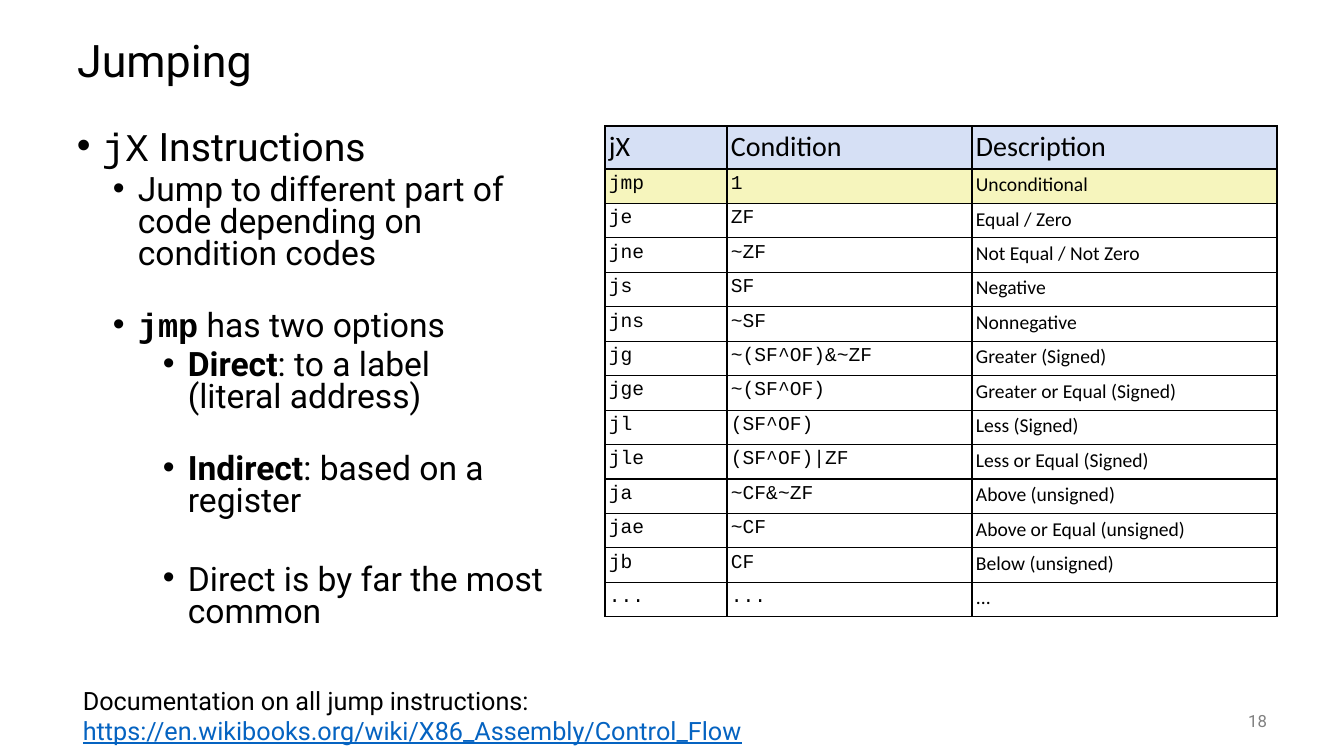
from pptx import Presentation
from pptx.dml.color import RGBColor
from pptx.enum.text import MSO_ANCHOR as Anchor, MSO_AUTO_SIZE as Fit, PP_ALIGN as Align
from pptx.util import Pt
from lxml.etree import SubElement as Sub
from pptx.oxml.ns import qn

SCALE = 12192000 / 1344
SANS, MONO, CELL = "Roboto", "Courier New", "Calibri"
BLACK = "000000"


def px(n):
    return round(n * SCALE)


def write(par, text, size, name=SANS, color=BLACK, **more):
    font = {"size": Pt(size), "name": name, **more}
    for i, line in enumerate(text.split("\n")):
        if i:
            par.add_line_break()
        run = par.add_run()
        run.text = line
        for key, val in font.items():
            setattr(run.font, key, val)
        run.font.color.rgb = RGBColor.from_string(color)


deck = Presentation()
deck.slide_width, deck.slide_height = px(1344), px(756)
slide = deck.slides.add_slide(deck.slide_layouts[5])
shapes = slide.shapes

# Title
title = shapes.title
place = {"left": 67, "top": 25, "width": 1210, "height": 76}
for key, val in place.items():
    setattr(title, key, px(val))
frame = title.text_frame
frame.auto_size, frame.vertical_anchor = Fit.NONE, Anchor.MIDDLE
par = frame.paragraphs[0]
par.alignment, par.line_spacing = Align.LEFT, 0.9
props = par._p.get_or_add_pPr()
props.set("marL", str(px(13)))
props.set("indent", str(px(-13)))
write(par, "Jumping", 32)

# Bullets: level, space before, runs of (text, format)
bold = {"bold": True}
points = [
    (0, 0, [("jX", {"name": MONO}), (" Instructions", {})]),
    (1, 5, [("Jump to different part of code depending on condition codes", {})]),
    (1, 28, [("jmp", {"name": MONO, **bold}), (" has two options", {})]),
    (2, 5, [("Direct", bold), (": to a label\n(literal address)", {})]),
    (2, 28, [("Indirect", bold), (": based on a register", {})]),
    (2, 33, [("Direct is by far the most common", {})]),
]
frame = shapes.add_textbox(px(67), px(126), px(509), px(554)).text_frame
frame.word_wrap = True
for i, (level, gap, runs) in enumerate(points):
    par = frame.add_paragraph() if i else frame.paragraphs[0]
    props = par._p.get_or_add_pPr()
    props.set("marL", str(px((25, 61, 111)[level])))
    props.set("indent", str(px(-25)))
    Sub(props, qn("a:buFont"), typeface="Arial")
    Sub(props, qn("a:buChar"), char="•")
    par.level, par.line_spacing, par.space_before = level, 0.8, Pt(gap)
    for text, form in runs:
        write(par, text, 24 if level else 28, **form)

# Table of jump conditions
rows = [
    ("jX", "Condition", "Description"),
    ("jmp", "1", "Unconditional"),
    ("je", "ZF", "Equal / Zero"),
    ("jne", "~ZF", "Not Equal / Not Zero"),
    ("js", "SF", "Negative"),
    ("jns", "~SF", "Nonnegative"),
    ("jg", "~(SF^OF)&~ZF", "Greater (Signed)"),
    ("jge", "~(SF^OF)", "Greater or Equal (Signed)"),
    ("jl", "(SF^OF)", "Less (Signed)"),
    ("jle", "(SF^OF)|ZF", "Less or Equal (Signed)"),
    ("ja", "~CF&~ZF", "Above (unsigned)"),
    ("jae", "~CF", "Above or Equal (unsigned)"),
    ("jb", "CF", "Below (unsigned)"),
    ("...", "...", "..."),
]
fills = {0: "D6E0F5", 1: "F6F5BD"}
table = shapes.add_table(len(rows), 3, px(605), px(126), px(672), px(491)).table
table.first_row = table.horz_banding = False
for col, wide in zip(table.columns, (122, 245, 305)):
    col.width = px(wide)
for r, row in enumerate(rows):
    table.rows[r].height = px(448) // (len(rows) - 1) if r else px(43)
    for c, text in enumerate(row):
        cell = table.cell(r, c)
        for side in ("left", "right", "top", "bottom"):
            setattr(cell, f"margin_{side}", px(4))
        props = cell._tc.get_or_add_tcPr()
        for edge in "LRTB":
            line = Sub(props, qn(f"a:ln{edge}"), w=str(Pt(1)))
            Sub(Sub(line, qn("a:solidFill")), qn("a:srgbClr"), val=BLACK)
        if r in fills:
            cell.fill.solid()
            cell.fill.fore_color.rgb = RGBColor.from_string(fills[r])
        else:
            cell.fill.background()
        name = MONO if r and c < 2 else CELL
        write(cell.text_frame.paragraphs[0], text, 14 if r else 20, name)

# Slide number
frame = shapes.add_textbox(px(1176), px(701), px(101), px(40)).text_frame
frame.word_wrap, frame.vertical_anchor = True, Anchor.MIDDLE
par = frame.paragraphs[0]
par.alignment = Align.RIGHT
write(par, "18", 12, color="808080")

# Documentation link
frame = shapes.add_textbox(px(73), px(680), px(1090), px(72)).text_frame
frame.word_wrap = True
par = frame.paragraphs[0]
write(par, "Documentation on all jump instructions:", 18)
par.add_line_break()
write(par, "https://en.wikibooks.org/wiki/X86_Assembly/Control_Flow", 18,
      color="0563C1", underline=True)

deck.save("out.pptx")
